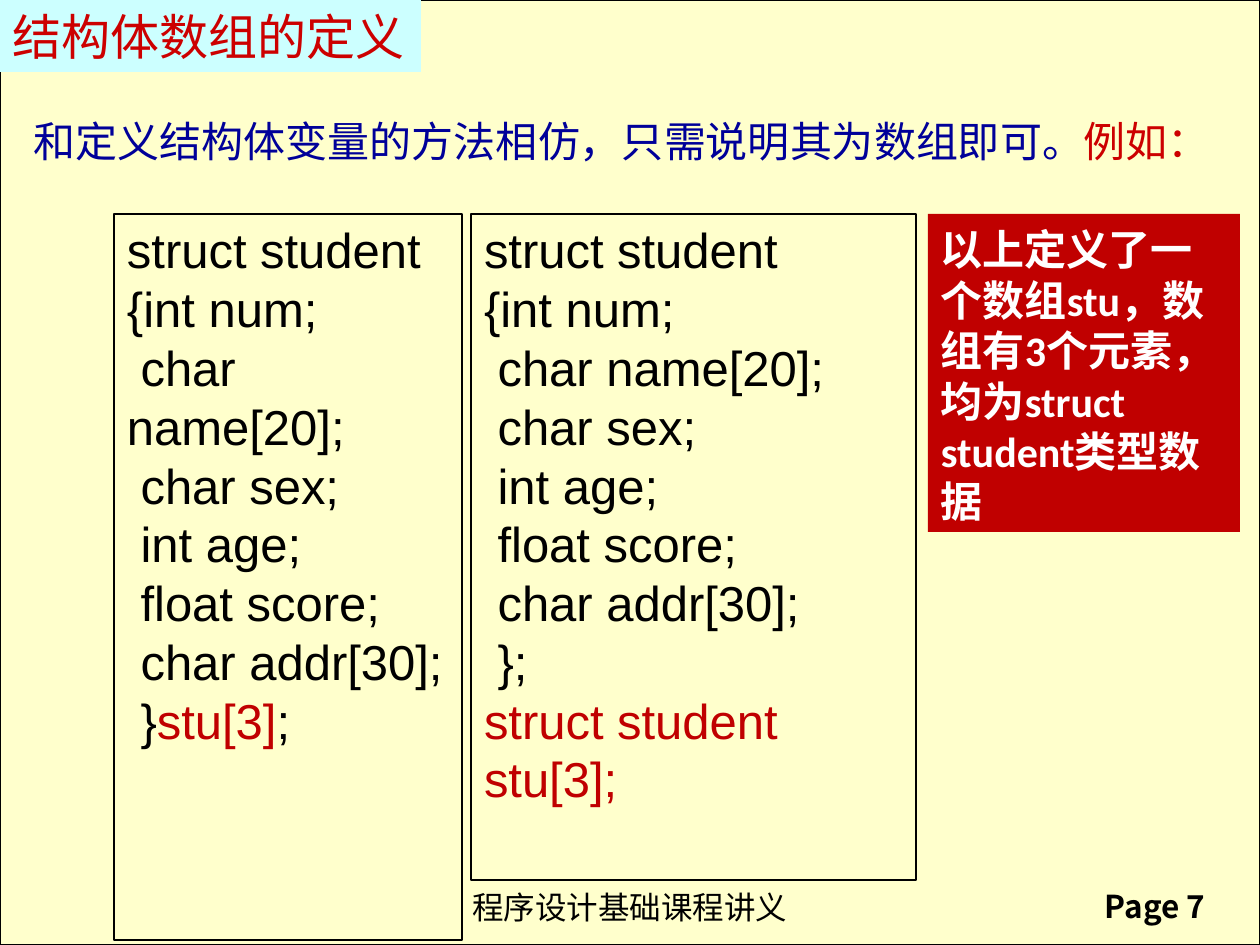
from dataclasses import dataclass

from lxml.etree import SubElement
from pptx import Presentation
from pptx.dml.color import RGBColor
from pptx.enum.shapes import MSO_SHAPE
from pptx.enum.text import MSO_ANCHOR, PP_ALIGN
from pptx.oxml.ns import qn
from pptx.util import Emu, Pt


@dataclass(frozen=True)
class Theme:
    """Colours, fonts and type sizes of the slide."""

    paper: str = "FFFFCC"
    banner: str = "CCFFFF"
    ink: str = "000000"
    blue: str = "000099"
    red: str = "CC0000"
    dark_red: str = "C00000"
    white: str = "FFFFFF"
    code_font: str = "Arial"
    body_font: str = "Calibri"
    chinese_font: str = "Noto Sans CJK SC"
    large: int = 28
    medium: int = 24
    small: int = 18
    leading: float = 1.2


THEME = Theme()
PIXELS_PER_INCH = 126
FIELDS = [
    "struct student",
    "{int num;",
    " char name[20];",
    " char sex;",
    " int age;",
    " float score;",
    " char addr[30];",
]


def px(length):
    """Turn pixels into EMU."""
    return Emu(round(length * 914400 / PIXELS_PER_INCH))


def add_panel(page, left, top, width, height, fill=None, line=None):
    """Add a rectangle with an optional fill and outline."""
    box = page.shapes.add_shape(
        MSO_SHAPE.RECTANGLE, px(left), px(top), px(width), px(height)
    )
    box.shadow.inherit = False
    if fill:
        box.fill.solid()
        box.fill.fore_color.rgb = RGBColor.from_string(fill)
    else:
        box.fill.background()
    if line:
        box.line.color.rgb = RGBColor.from_string(line)
        box.line.width = Pt(0.75)
    else:
        box.line.fill.background()
    return box


def add_label(page, left, top, width, height):
    """Add an empty text box."""
    return page.shapes.add_textbox(px(left), px(top), px(width), px(height))


def write(box, lines, *, size, font, color=THEME.ink, bold=False, wrap=True,
          anchor=MSO_ANCHOR.TOP, leading=THEME.leading, inset=6):
    """Write lines, each a string or a list of (text, colour) pairs."""
    frame = box.text_frame
    frame.word_wrap = wrap
    frame.vertical_anchor = anchor
    frame.margin_left = frame.margin_right = px(13)
    frame.margin_top, frame.margin_bottom = px(inset), px(6)
    for index, line in enumerate(lines):
        para = frame.add_paragraph() if index else frame.paragraphs[0]
        para.alignment = PP_ALIGN.LEFT
        if leading:
            para.line_spacing = Pt(size * leading)
        pieces = [(line, color)] if isinstance(line, str) else line
        for text, shade in pieces:
            span = para.add_run()
            span.text = text
            span.font.size = Pt(size)
            span.font.bold = bold
            span.font.name = font
            span.font.color.rgb = RGBColor.from_string(shade)
            east_asian = SubElement(span.font._element, qn("a:ea"))
            east_asian.set("typeface", THEME.chinese_font)


def add_footer(page):
    """Add the course name and the page number."""
    write(add_label(page, 459, 879, 344, 50), ["程序设计基础课程讲义"],
          size=THEME.small, font=THEME.code_font, wrap=False, inset=9)
    write(add_label(page, 1092, 878, 161, 50), ["Page 7"],
          size=THEME.small, font=THEME.chinese_font, bold=True, wrap=False,
          inset=9)


def add_code(page, left, width, height, lines):
    """Add an outlined listing."""
    box = add_panel(page, left, 214, width, height, line=THEME.ink)
    write(box, lines, size=THEME.large, font=THEME.code_font)


def main():
    """Build the slide and save it."""
    deck = Presentation()
    deck.slide_width, deck.slide_height = px(1260), px(945)
    page = deck.slides.add_slide(deck.slide_layouts[6])

    add_panel(page, 0, 0, 1260, 945, fill=THEME.paper, line=THEME.ink)
    add_footer(page)

    note = add_panel(page, 928, 214, 312, 318, fill=THEME.dark_red)
    write(note, ["以上定义了一个数组stu，数组有3个元素，均为struct student类型数据"],
          size=THEME.medium, font=THEME.body_font, color=THEME.white,
          bold=True, inset=10)

    add_code(page, 114, 348, 726, FIELDS + [
        [(" }", THEME.ink), ("stu[3]", THEME.dark_red), (";", THEME.ink)],
    ])
    add_code(page, 471, 445, 666, FIELDS + [
        " };",
        [("struct student stu[3];", THEME.dark_red)],
    ])

    write(add_label(page, 21, 105, 1181, 102),
          [[("和定义结构体变量的方法相仿，只需说明其为数组即可。", THEME.blue),
            ("例如：", THEME.red)]],
          size=THEME.medium, font=THEME.body_font, inset=10)

    title = add_panel(page, 0, 0, 421, 72, fill=THEME.banner)
    write(title, ["结构体数组的定义"], size=THEME.large,
          font=THEME.chinese_font, color=THEME.red, wrap=False,
          anchor=MSO_ANCHOR.MIDDLE, leading=None)

    deck.save("out.pptx")


if __name__ == "__main__":
    main()
